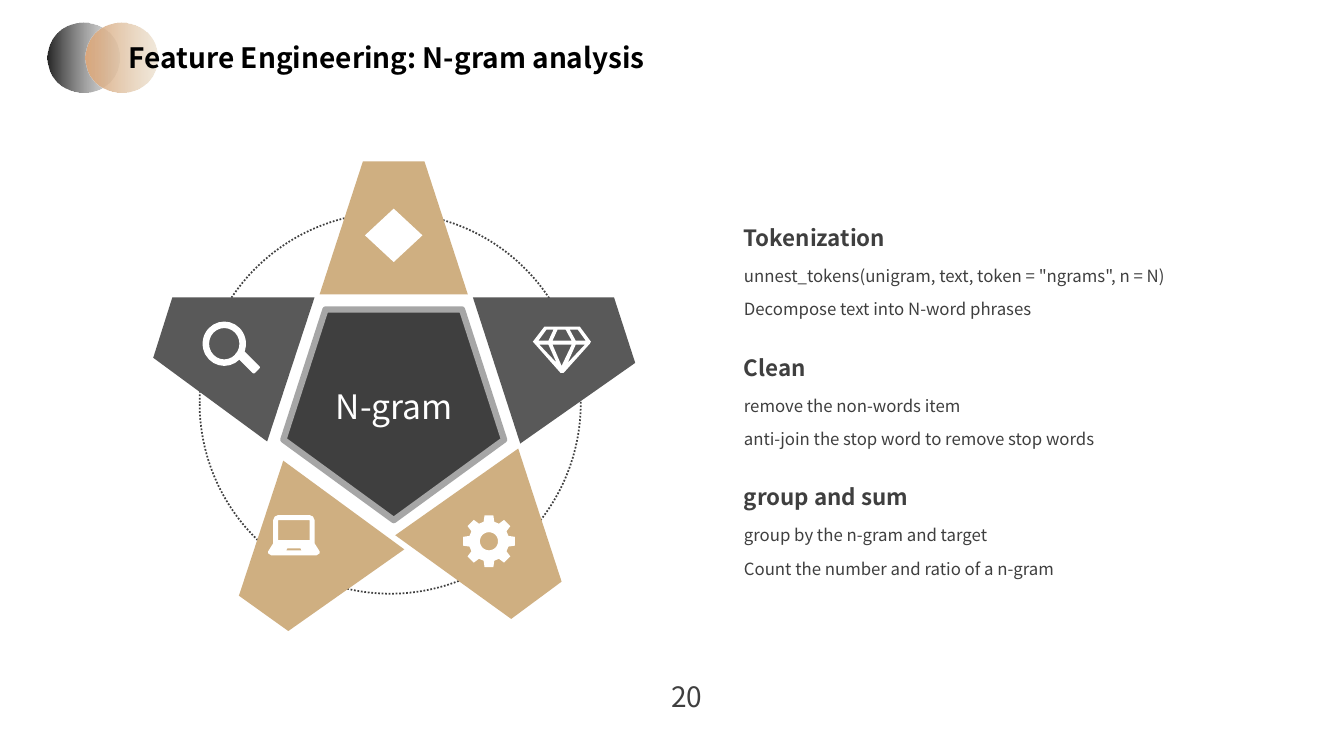
import math
import pptx
import pptx.dml.color
import pptx.enum.dml
import pptx.enum.shapes
import pptx.enum.text
import pptx.oxml
import pptx.oxml.ns
import pptx.util

COLORS = {
    "black": "000000", "text": "3F3F3F", "white": "FFFFFF", "tan": "CFAF81",
    "gray": "595959", "border": "A6A6A6", "ring": "404040",
}
FONT = "Noto Sans CJK SC"
SHAPES = pptx.enum.shapes.MSO_SHAPE
ALIGN = pptx.enum.text.PP_ALIGN
rgb = pptx.dml.color.RGBColor.from_string

presentation = pptx.Presentation()
presentation.slide_width = pptx.util.Inches(13.33)
presentation.slide_height = pptx.util.Inches(7.5)
slide = presentation.slides.add_slide(presentation.slide_layouts[6])

# Square grid: 75 rows on the slide's height, columns of the same size
cell = presentation.slide_height / 75


def add_text(box, lines, size, color="text", bold=False, align=ALIGN.LEFT, spacing=1.0):
    shape = slide.shapes.add_textbox(*[round(cell * value) for value in box])
    frame = shape.text_frame
    frame.word_wrap = True
    frame.text = "\n".join(lines)
    for index, paragraph in enumerate(frame.paragraphs):
        paragraph.alignment = align
        paragraph.line_spacing = spacing
        if index:
            paragraph.space_before = pptx.util.Pt(2.4)
        font = paragraph.runs[0].font
        font.name, font.size, font.bold = FONT, pptx.util.Pt(size), bold
        font.color.rgb = rgb(COLORS[color])


def add_figure(geometry, color, box=None):
    """Draw a preset shape in a box, or an outline from a list of contours."""
    if box:
        shape = slide.shapes.add_shape(geometry, *[round(cell * value) for value in box])
    else:
        contours = [[(x * 100, y * 100) for x, y in contour] for contour in geometry]
        builder = slide.shapes.build_freeform(*contours[0][0], scale=cell / 100)
        for index, contour in enumerate(contours):
            if index:
                builder.move_to(*contour[0])
            builder.add_line_segments(contour[1:], close=True)
        shape = builder.convert_to_shape()
    shape.shadow.inherit = False
    shape.line.fill.background()
    if color:
        shape.fill.solid()
        shape.fill.fore_color.rgb = rgb(COLORS[color])
    else:
        shape.fill.background()
    return shape


# Overlapping gradient circles behind the title
for left, start, end, opacity in [(4.7, "262626", "BFBFBF", 40), (8.5, "DBA97F", "DFCAAB", 42)]:
    circle = add_figure(SHAPES.OVAL, None, (left, 2.2, 7.1, 7))
    circle.fill.gradient()
    circle.fill.gradient_angle = 0
    for stop, position, color in zip(circle.fill.gradient_stops, (0, 1), (start, end)):
        stop.position = position
        stop.color.rgb = rgb(color)
    end_color = list(circle._element.spPr.iter(pptx.oxml.ns.qn("a:srgbClr")))[1]
    alpha = pptx.oxml.parse_xml(f'<a:alpha {pptx.oxml.ns.nsdecls("a")} val="{opacity * 1000}"/>')
    end_color.append(alpha)

# Title and page number
add_text((11.8, 3.5, 59.9, 4.4), ["Feature Engineering: N-gram analysis"], 20,
         color="black", bold=True, align=ALIGN.JUSTIFY)
add_text((65.6, 66.9, 6.1, 4.4), ["20"], 20, align=ALIGN.JUSTIFY)

# Three steps at equal distances
steps = [
    ("Tokenization", ['unnest_tokens(unigram, text, token = "ngrams", n = N)',
                      "Decompose text into N-word phrases"]),
    ("Clean", ["remove the non-words item",
               "anti-join the stop word to remove stop words"]),
    ("group and sum", ["group by the n-gram and target",
                       "Count the number and ratio of a n-gram"]),
]
for index, (heading, details) in enumerate(steps):
    top = 21.2 + 12.87 * index
    add_text((72.8, top + 3.65, 46, 7.5), details, 12, spacing=1.5)
    add_text((72.8, top, 22.4, 4.2), [heading], 16, bold=True, spacing=1.2)

# Dotted ring
ring = add_figure(SHAPES.OVAL, None, (19.8, 21.1, 37.8, 37.8))
ring.line.color.rgb = rgb(COLORS["ring"])
ring.line.width = pptx.util.Pt(1.25)
ring.line.dash_style = pptx.enum.dml.MSO_LINE.ROUND_DOT

# Star arms
arms = [
    ("gray", [(17.1, 29.5), (31.2, 29.5), (26.5, 43.8), (15.2, 35.5)]),
    ("tan", [(36, 16), (42.1, 16), (46.4, 29.2), (31.7, 29.2)]),
    ("gray", [(46.9, 29.5), (60.9, 29.5), (63, 36), (51.6, 44)]),
    ("tan", [(51.4, 44.5), (55.7, 57.7), (50.7, 61.4), (39.2, 53.1)]),
    ("tan", [(28.1, 45.7), (40.1, 54.5), (28.6, 62.6), (23.7, 59.1)]),
]
for color, outline in arms:
    add_figure([outline], color)

# Gem icon with cut-out facets
add_figure([
    [(52.85, 33.9), (54, 32.4), (57.5, 32.4), (58.6, 33.9), (58.5, 34.1), (55.9, 37), (55.6, 37)],
    [(58.1, 33.8), (57.3, 32.7), (56.5, 32.7), (57.1, 33.8)],
    [(58, 34.2), (57.1, 34.2), (56.3, 36)],
    [(56.7, 33.8), (56.1, 32.7), (55.3, 32.7), (54.8, 33.8)],
    [(56.7, 34.2), (54.8, 34.2), (55.7, 36.3)],
    [(55.2, 36), (54.4, 34.2), (53.5, 34.2)],
    [(54.9, 32.7), (54.2, 32.7), (53.4, 33.8), (54.4, 33.8)],
], "white")

# Laptop icon
add_figure([
    [(27.1, 51.6), (27.25, 51.25), (27.6, 51.1), (30.7, 51.1), (31.05, 51.25), (31.2, 51.6),
     (31.2, 53.9), (31.7, 54.7), (31.7, 54.9), (31.4, 55.1), (26.9, 55.1), (26.6, 54.9),
     (26.6, 54.7), (27.1, 53.9)],
    [(27.6, 51.6), (30.7, 51.6), (30.7, 53.6), (27.6, 53.6)],
    [(28.5, 54.4), (29.8, 54.4), (29.9, 54.6), (28.4, 54.6)],
], "white")

# Magnifier icon: lens and handle
lens = add_figure(SHAPES.DONUT, "white", (20.1, 31.9, 4.3, 4.4))
lens.adjustments[0] = 0.15
handle = add_figure(SHAPES.ROUNDED_RECTANGLE, "white", (23.2, 35.35, 2.7, 0.95))
handle.rotation = 45

# Gear icon: eight teeth around a round hole
tooth = [(-0.27, 2), (-0.17, 2.6), (0.17, 2.6), (0.27, 2)]
rim = [(math.pi / 4 * index + offset, radius) for index in range(8) for offset, radius in tooth]
hole = [(math.pi / 16 * index, 0.9) for index in range(32)]
add_figure([[(48.5 + radius * math.cos(angle), 53.7 + radius * math.sin(angle))
             for angle, radius in contour] for contour in (rim, hole)], "white")

# Plain mark on the top arm
add_figure(SHAPES.DIAMOND, "white", (36.2, 20.7, 5.7, 5.3))

# Center pentagon and its label
center = add_figure(SHAPES.REGULAR_PENTAGON, "text", (28.1, 30.7, 21.9, 20.9))
center.rotation = 180
center.line.color.rgb = rgb(COLORS["border"])
center.line.width = pptx.util.Pt(4.5)
add_text((27.5, 37, 23.2, 5.8), ["N-gram"], 24, color="white", align=ALIGN.CENTER, spacing=1.2)

presentation.save("out.pptx")
